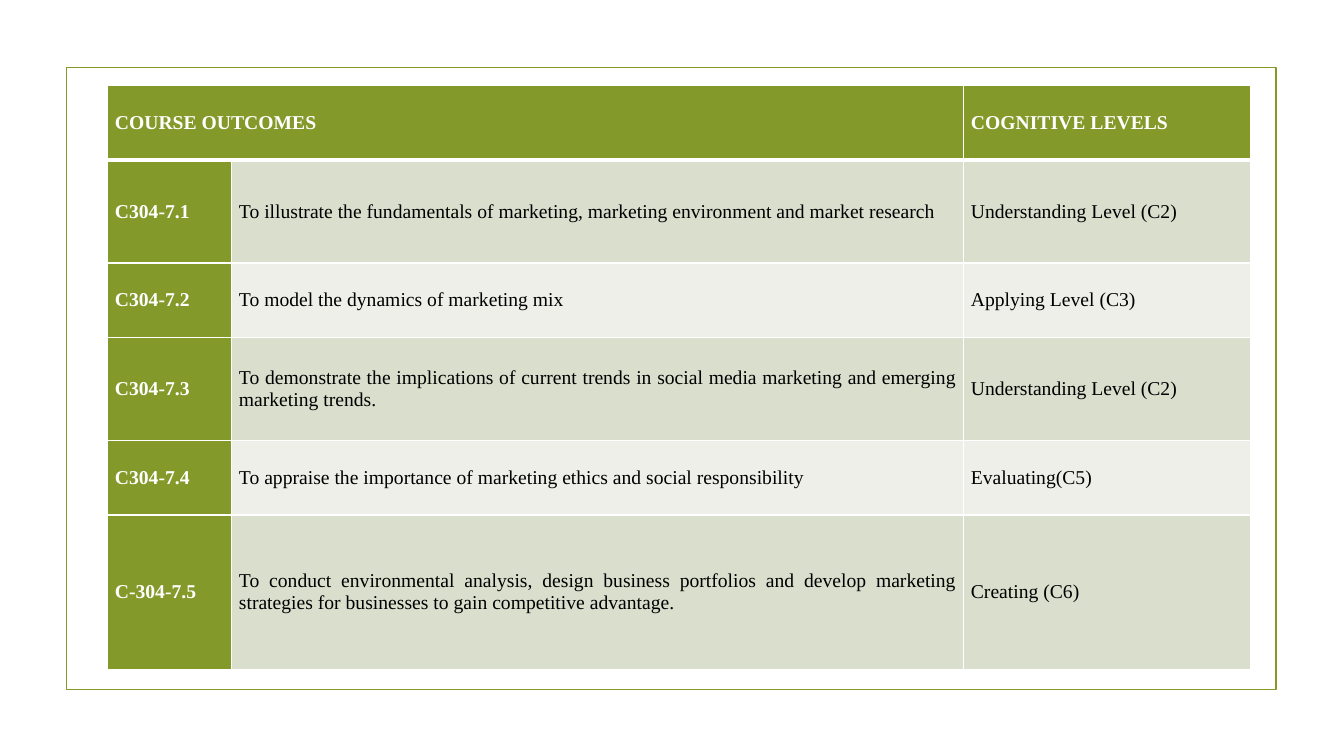
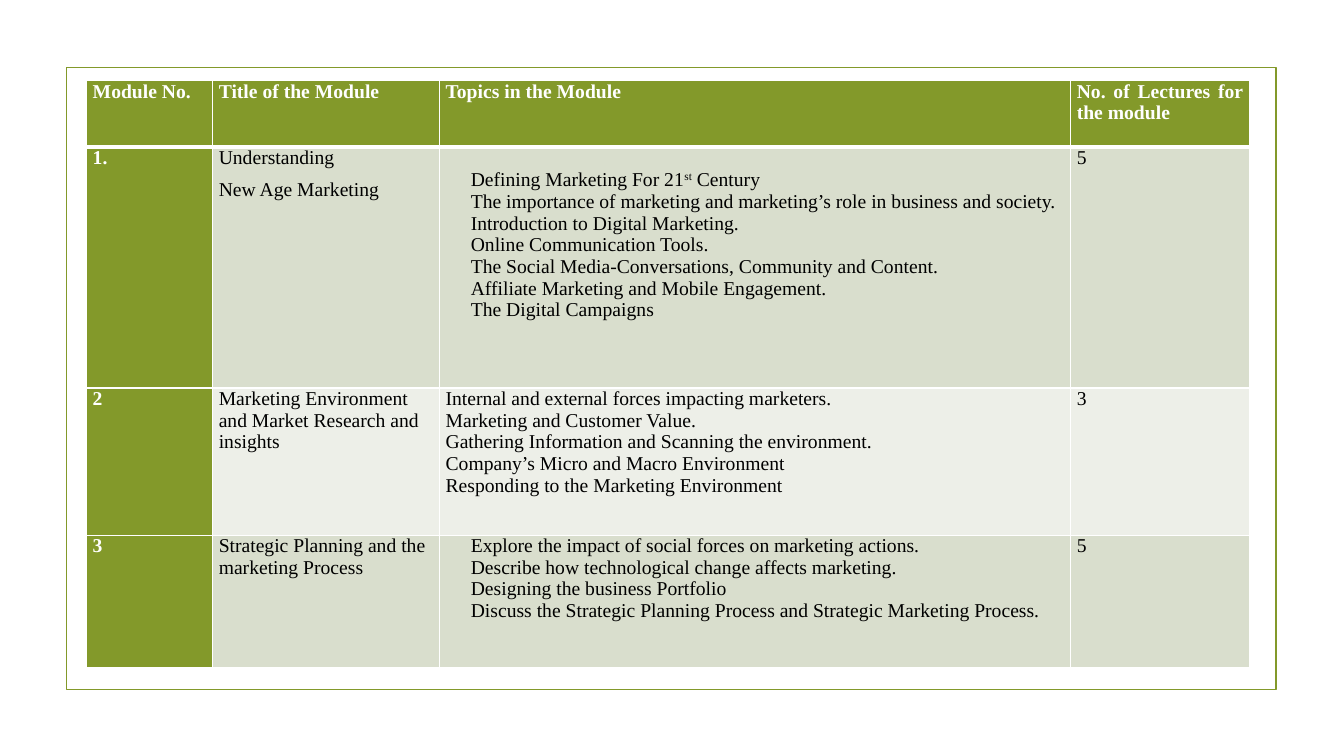
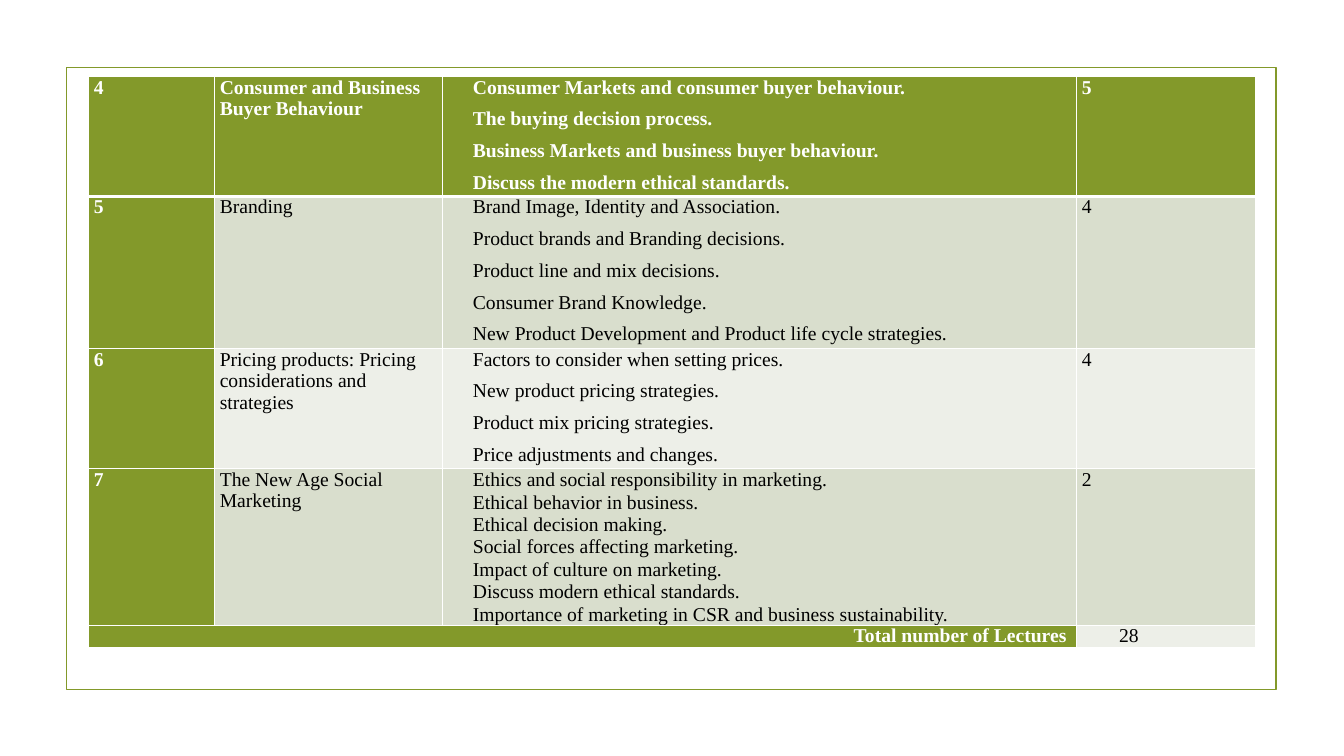
from dataclasses import dataclass
from typing import Optional

import pptx
import pptx.dml.color
import pptx.enum.shapes
import pptx.enum.text
import pptx.oxml
import pptx.oxml.ns
import pptx.util

RGB = pptx.dml.color.RGBColor
Align = pptx.enum.text.PP_ALIGN
Anchor = pptx.enum.text.MSO_ANCHOR

# Shared look
GREEN = RGB(0x83, 0x99, 0x2A)
WHITE = RGB(0xFF, 0xFF, 0xFF)
BLACK = RGB(0x00, 0x00, 0x00)
BANDS = (RGB(0xED, 0xEF, 0xE8), RGB(0xD9, 0xDE, 0xCD))  # even, odd rows
FONT = "Times New Roman"
SIZE = 14
GAP = 3.6
SCALE = 9144  # EMU in one px, 100 px to the inch


def px(n: int) -> int:
    return pptx.util.Emu(n * SCALE)


@dataclass(frozen=True)
class Cell:
    lines: tuple[str, ...]
    align: Align = Align.LEFT
    gap: float = 0
    indent: int = 0
    pitch: Optional[float] = None
    drop: int = 0
    span: int = 1


@dataclass(frozen=True)
class Grid:
    left: int
    top: int
    cols: tuple[int, ...]
    heights: tuple[int, ...]
    rows: tuple[tuple[Cell, ...], ...]
    pad: int
    anchor: Anchor = Anchor.TOP


def write(frame, lines: tuple[str, ...], *, color: RGB, bold: bool = False,
          align: Align = Align.LEFT, gap: float = 0, indent: int = 0,
          pitch: Optional[float] = None) -> None:
    """Fill a text frame; text between ^ marks is superscript."""
    for i, line in enumerate(lines):
        para = frame.paragraphs[0] if i == 0 else frame.add_paragraph()
        para.alignment = align
        para.space_before = para.space_after = pptx.util.Pt(gap)
        if pitch:
            para.line_spacing = pptx.util.Pt(pitch)
        if indent:
            props = para._p.get_or_add_pPr()
            props.set("marL", str(px(indent)))
            props.set("indent", "0")
        for j, part in enumerate(line.split("^")):
            run = para.add_run()
            run.text = part
            font = run.font
            font.name, font.size = FONT, pptx.util.Pt(SIZE)
            font.bold, font.color.rgb = bold, color
            if j % 2:
                run._r.get_or_add_rPr().set("baseline", "30000")


def paint(box, fill: RGB, row: int) -> None:
    """Fill a table cell and rule it in white, thicker below the header."""
    box.fill.solid()
    box.fill.fore_color.rgb = fill
    thick = {"T": row == 1, "B": row == 0}
    for i, side in enumerate("LRTB"):
        width = pptx.util.Pt(3 if thick.get(side) else 1)
        line = pptx.oxml.parse_xml(
            f'<a:ln{side} {pptx.oxml.ns.nsdecls("a")} w="{width}"><a:solidFill>'
            f'<a:srgbClr val="{WHITE}"/></a:solidFill></a:ln{side}>')
        box._tc.get_or_add_tcPr().insert(i, line)


def draw(slide, grid: Grid) -> None:
    shape = slide.shapes.add_table(
        len(grid.heights), len(grid.cols), px(grid.left), px(grid.top),
        px(sum(grid.cols)), px(sum(grid.heights)))
    table = shape.table
    table.first_row = table.horz_banding = False
    for col, width in zip(table.columns, grid.cols):
        col.width = px(width)
    for row, height in zip(table.rows, grid.heights):
        row.height = px(height)
    for r, cells in enumerate(grid.rows):
        c = 0
        for cell in cells:
            head = r == 0 or c == 0
            last = c + cell.span - 1
            for k in range(c, last + 1):
                paint(table.cell(r, k), GREEN if head else BANDS[r % 2], r)
            box = table.cell(r, c)
            if cell.span > 1:
                box.merge(table.cell(r, last))
            box.margin_left = box.margin_right = px(grid.pad)
            box.margin_top, box.margin_bottom = px(cell.drop), 0
            box.vertical_anchor = grid.anchor
            write(box.text_frame, cell.lines, color=WHITE if head else BLACK,
                  bold=head, align=cell.align, gap=cell.gap,
                  indent=cell.indent, pitch=cell.pitch)
            c = last + 1


def goal(code: str, text: str, level: str) -> tuple[Cell, ...]:
    return Cell((code,)), Cell((text,), Align.JUSTIFY), Cell((level,))


def unit(no: str, title: tuple[str, ...], topics: Cell, count: str) -> tuple[Cell, ...]:
    return (Cell((no,), gap=GAP), Cell(title, gap=GAP), topics,
            Cell((count,), Align.JUSTIFY, GAP))


def topics(*lines: str, align: Align = Align.JUSTIFY, gap: float = 0,
           indent: int = 25, pitch: Optional[float] = None, drop: int = 0) -> Cell:
    return Cell(lines, align, gap, indent, pitch, drop)


# Course outcomes
GOALS = Grid(
    107, 85, (123, 726, 284), (74, 102, 74, 102, 74, 153),
    (
        (Cell(("COURSE OUTCOMES",), span=2), Cell(("COGNITIVE LEVELS",))),
        goal("C304-7.1", "To illustrate the fundamentals of marketing, marketing "
             "environment and market research", "Understanding Level (C2)"),
        goal("C304-7.2", "To model the dynamics of marketing mix",
             "Applying Level (C3)"),
        goal("C304-7.3", "To demonstrate the implications of current trends in social "
             "media marketing and emerging marketing trends.",
             "Understanding Level (C2)"),
        goal("C304-7.4", "To appraise the importance of marketing ethics and social "
             "responsibility", "Evaluating(C5)"),
        goal("C-304-7.5", "To conduct environmental analysis, design business "
             "portfolios and develop marketing strategies for businesses to gain "
             "competitive advantage.", "Creating (C6)"),
    ),
    pad=7, anchor=Anchor.MIDDLE)

# Modules 1 to 3
FIRST = Grid(
    86, 80, (125, 225, 626, 177), (66, 239, 146, 131),
    (
        unit("Module No.", ("Title of the Module",),
             topics("Topics in the Module", gap=GAP, indent=0),
             "No. of Lectures for the module"),
        unit("1.", ("Understanding", "New Age Marketing"),
             topics("Defining Marketing For 21^st^ Century",
                    "The importance of marketing and marketing’s role in business "
                    "and society.",
                    "Introduction to Digital Marketing.",
                    "Online Communication Tools.",
                    "The Social Media-Conversations, Community and Content.",
                    "Affiliate Marketing and Mobile Engagement.",
                    "The Digital Campaigns", drop=22), "5"),
        unit("2", ("Marketing Environment and Market Research and insights",),
             topics("Internal and external forces impacting marketers.",
                    "Marketing and Customer Value.",
                    "Gathering Information and Scanning the environment.",
                    "Company’s Micro and Macro Environment",
                    "Responding to the Marketing Environment",
                    align=Align.LEFT, indent=0), "3"),
        unit("3", ("Strategic Planning and the marketing Process",),
             topics("Explore the impact of social forces on marketing actions.",
                    "Describe how technological change affects marketing.",
                    "Designing the business Portfolio",
                    "Discuss the Strategic Planning Process and Strategic Marketing "
                    "Process.", align=Align.LEFT), "5"),
    ),
    pad=6)

# Modules 4 to 7 and the total
SECOND = Grid(
    88, 76, (125, 226, 629, 177), (119, 151, 119, 155, 22),
    (
        unit("4", ("Consumer and Business Buyer Behaviour",),
             topics("Consumer Markets and consumer buyer behaviour.",
                    "The buying decision process.",
                    "Business Markets and business buyer behaviour.",
                    "Discuss the modern ethical standards.", gap=GAP), "5"),
        unit("5", ("Branding",),
             topics("Brand Image, Identity and Association.",
                    "Product brands and Branding decisions.",
                    "Product line and mix decisions.",
                    "Consumer Brand Knowledge.",
                    "New Product Development and Product life cycle strategies.",
                    gap=GAP), "4"),
        unit("6", ("Pricing products: Pricing considerations and strategies",),
             topics("Factors to consider when setting prices.",
                    "New product pricing strategies.",
                    "Product mix pricing strategies.",
                    "Price adjustments and changes.", gap=GAP), "4"),
        unit("7", ("The New Age Social Marketing",),
             topics("Ethics and social responsibility in marketing.",
                    "Ethical behavior in business.",
                    "Ethical decision making.",
                    "Social forces affecting marketing.",
                    "Impact of culture on marketing.",
                    "Discuss modern ethical standards.",
                    "Importance of marketing in CSR and business sustainability.",
                    pitch=16), "2"),
        (Cell(("Total number of Lectures ",), Align.RIGHT, GAP, span=3),
         Cell(("28",), gap=GAP, indent=37)),
    ),
    pad=5)


def border(slide, layout) -> None:
    """Draw the green frame and move it to the layout all slides share."""
    frame = slide.shapes.add_shape(
        pptx.enum.shapes.MSO_SHAPE.RECTANGLE, px(66), px(67), px(1200), px(617))
    frame.shadow.inherit = False
    frame.fill.background()
    frame.line.color.rgb = GREEN
    frame.line.width = pptx.util.Pt(1.25)
    layout.shapes.element.append(frame.element)


def main() -> None:
    deck = pptx.Presentation()
    deck.slide_width, deck.slide_height = px(1333), px(750)
    layout = deck.slide_layouts[6]
    for i, grid in enumerate((GOALS, FIRST, SECOND)):
        slide = deck.slides.add_slide(layout)
        if i == 0:
            border(slide, layout)
        draw(slide, grid)
    deck.save("out.pptx")


if __name__ == "__main__":
    main()
